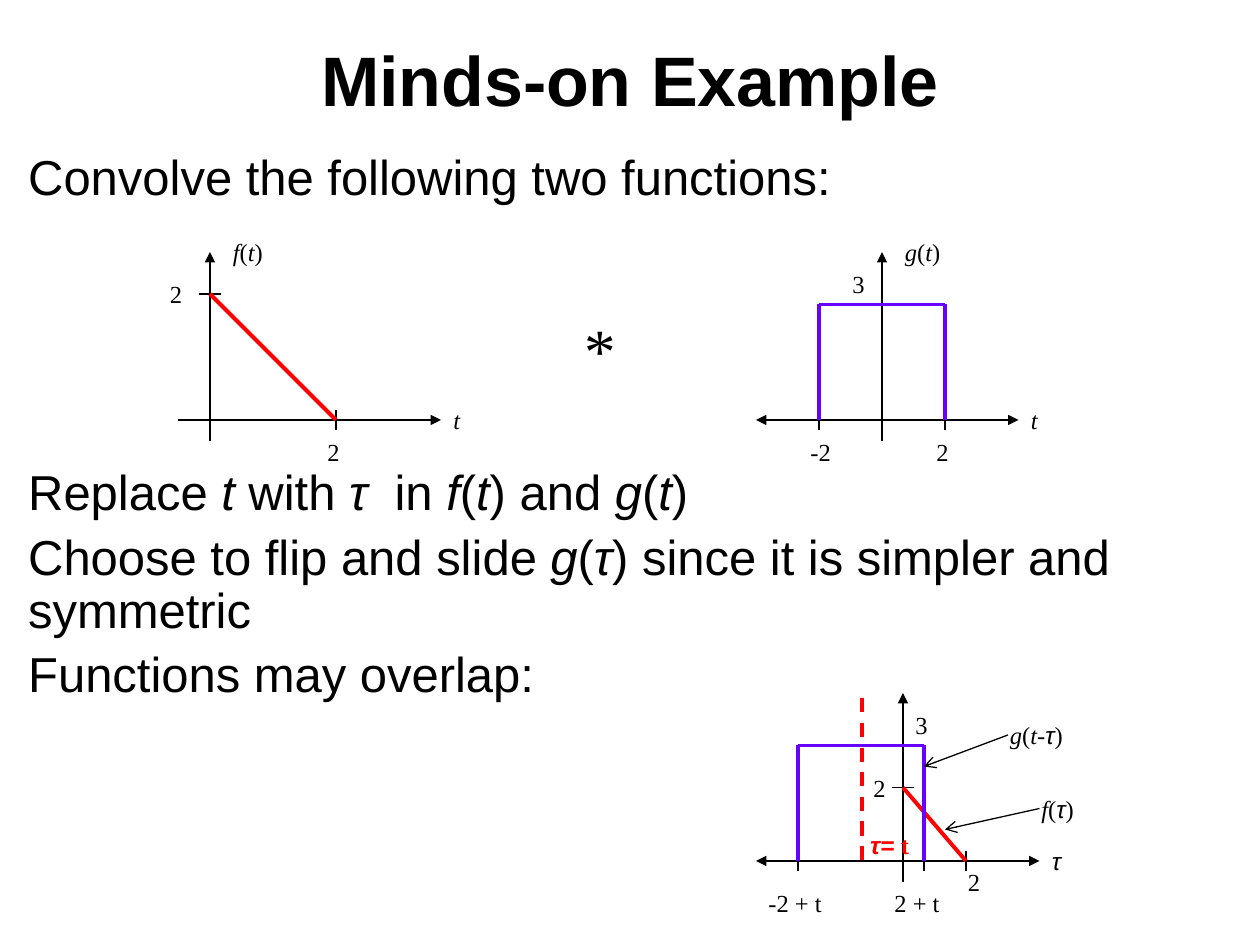
from itertools import groupby
from lxml import etree
from pptx import Presentation
from pptx.dml.color import RGBColor
from pptx.enum.dml import MSO_LINE
from pptx.enum.shapes import MSO_CONNECTOR
from pptx.enum.text import MSO_ANCHOR, PP_ALIGN
from pptx.oxml.ns import qn
from pptx.util import Inches, Pt

STRAIGHT = MSO_CONNECTOR.STRAIGHT
DASH = MSO_LINE.DASH
MIDDLE = MSO_ANCHOR.MIDDLE
CENTER = PP_ALIGN.CENTER
BLACK, RED, BRIGHT_RED, VIOLET = "000000", "FF0101", "FF0000", "6600FF"
SERIF, SANS = "Times New Roman", "Arial"

prs = Presentation()
prs.slide_width, prs.slide_height = Inches(10), Inches(7.5)
s = prs.slides.add_slide(prs.slide_layouts[6])
COLS = 120
U = prs.slide_width / COLS


def add_line(x1, y1, x2, y2, color=BLACK, width=0.75, head=None, tail=None):
    sp = s.shapes.add_connector(STRAIGHT, *(round(v * U) for v in (x1, y1, x2, y2)))
    sp.line.color.rgb = RGBColor.from_string(color)
    sp.line.width = Pt(width)
    ln = sp.line._get_or_add_ln()
    for tag, kind in (("a:headEnd", head), ("a:tailEnd", tail)):
        if kind:
            etree.SubElement(ln, qn(tag), type=kind)
    etree.SubElement(sp._element.spPr, qn("a:effectLst"))
    return sp


def add_text(x, y, w, h, lines, size=14, font=SERIF, color=BLACK, bold=False):
    sp = s.shapes.add_textbox(*(round(v * U) for v in (x, y, w, h)))
    tf = sp.text_frame
    tf.word_wrap = True
    for i, line in enumerate(lines.split("\n")):
        p = tf.add_paragraph() if i else tf.paragraphs[0]
        for j, part in enumerate(line.split("_")):
            for greek, chars in groupby(part, lambda c: c in "τ="):
                r = p.add_run()
                r.text = "".join(chars)
                r.font.size = Pt(size)
                r.font.name = SANS if greek else font
                r.font.bold = bold
                r.font.italic = j % 2 == 1
                r.font.color.rgb = RGBColor.from_string(color)
    return tf


tf = add_text(2, 2, 116, 11, "Minds-on Example", 40, SANS, bold=True)
tf.vertical_anchor = MIDDLE
p = tf.paragraphs[0]
p.alignment = CENTER
rPr = p.runs[0].font._element
effects = etree.Element(qn("a:effectLst"))
shadow = etree.SubElement(effects, qn("a:outerShdw"), blurRad="0", dist="38100", dir="2700000")
etree.SubElement(shadow, qn("a:srgbClr"), val="C0C0C0")
rPr.find(qn("a:solidFill")).addnext(effects)

tf = add_text(1.5, 14, 116, 58,
              "Convolve the following two functions:\n"
              "Replace _t_ with _τ  _in _f_(_t_) and _g_(_t_)\n"
              "Choose to flip and slide _g_(_τ_) since it is simpler and symmetric\n"
              "Functions may overlap:", 28, SANS)
for p, gap in zip(tf.paragraphs, (2.5, 150, 6.4, 6.4)):
    p.line_spacing = 0.9
    p.space_before = Pt(gap)

for x1, x2, y, head in ((17, 42, 40, None), (72, 97, 40, "triangle"), (72, 99, 82, "triangle")):
    add_line(x1, y, x2, y, head=head, tail="triangle")
for x, y in ((20, 24), (84, 24), (86, 66)):
    add_line(x, y, x, y + 18, head="triangle")
for x, y in ((32, 40), (78, 40), (90, 40), (76, 82), (88, 82), (92, 82)):
    add_line(x, y - 1, x, y + 1)
for x, y in ((20, 28), (86, 75)):
    add_line(x - 1, y, x + 1, y)

for x1, y1, x2, y2 in ((20, 28, 32, 40), (86, 75, 92, 82)):
    add_line(x1, y1, x2, y2, RED, 2.25)
for x, y in ((78, 40), (76, 82)):
    corners = ((x, y), (x, y - 11), (x + 12, y - 11), (x + 12, y))
    for a, b in zip(corners, corners[1:]):
        add_line(*a, *b, VIOLET, 2.25)
for ends in ((99, 77, 90, 79), (96, 70, 88, 73)):
    add_line(*ends, tail="arrow")
add_line(82.1, 66.5, 82.1, 82.5, BRIGHT_RED, 2).line.dash_style = DASH

for x, y, w, label in (
    (21, 22, 6, "_f_(_t_)"), (15, 26, 4, "2"), (30, 41, 4, "2"), (42, 38, 4, "_t_"),
    (85, 22, 6, "_g_(_t_)"), (80, 25, 4, "3"), (76, 41, 5, "-2"), (88, 41, 4, "2"),
    (97, 38, 4, "_t_"),
    (86, 67, 4, "3"), (82, 73, 4, "2"), (91, 82, 4, "2"), (99, 80, 4, "_τ_"),
    (72, 84, 8, "-2 + t"), (84, 84, 8, "2 + t"),
    (95, 68, 8, "_g_(_t-τ_)"), (98, 75, 6, "_f_(_τ_)"),
):
    add_text(x, y, w, 4, label)
add_text(54.5, 29, 5, 8.4, "*", 36)
add_text(81.7, 78.5, 17.4, 4, "_τ=_ t", color=BRIGHT_RED, bold=True)

prs.save("out.pptx")
